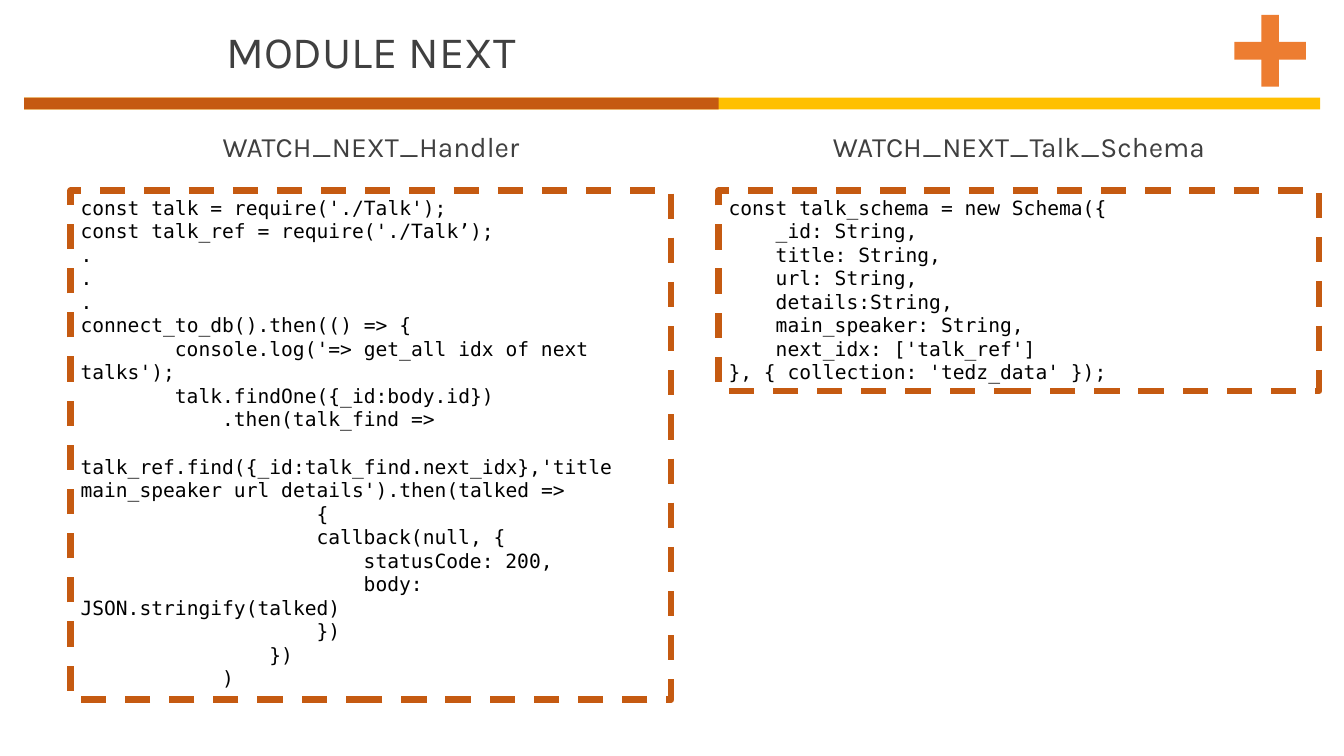
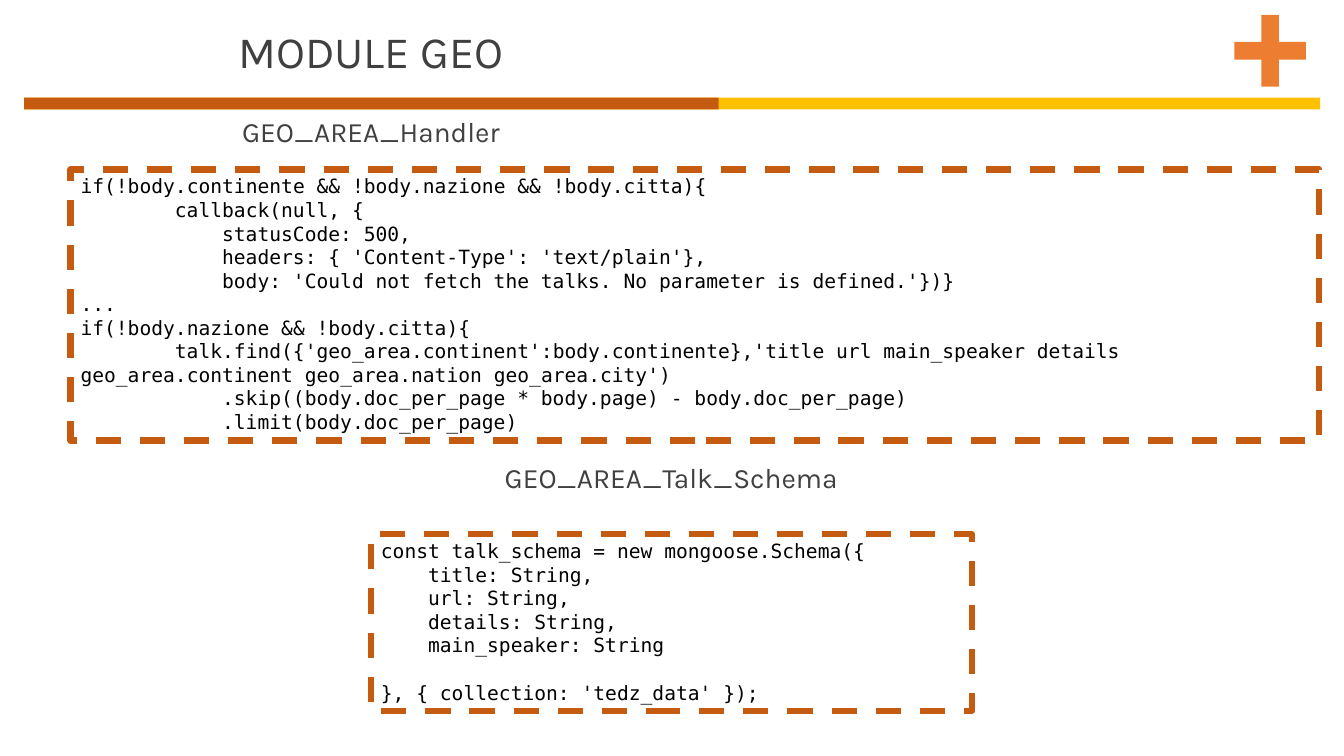
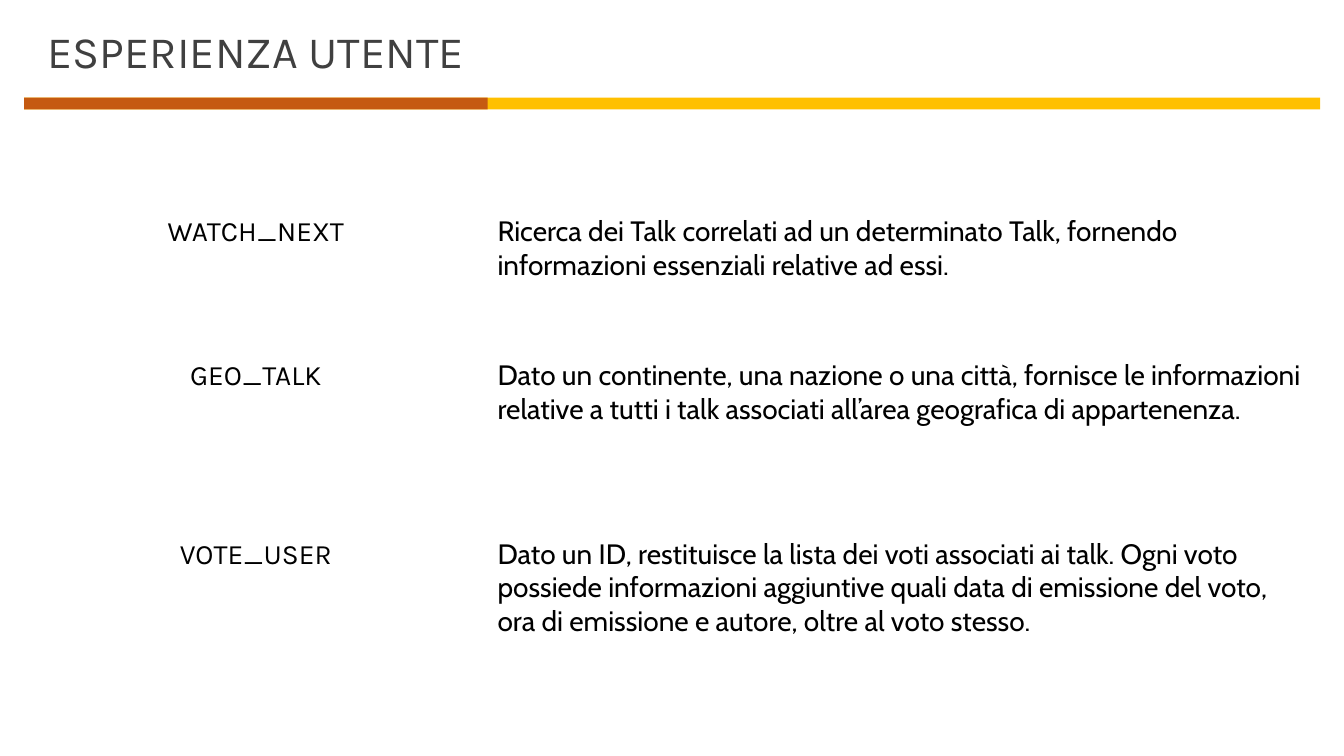
from pptx import Presentation, util as u
from pptx.dml.color import RGBColor
from pptx.enum import dml, shapes, text

RUST, AMBER, ORANGE = "C55A11", "FFC000", "ED7D31"
GREY, BLACK = "404040", "000000"

TITLE = {"name": "Karla", "size": u.Pt(32), "color": GREY}
CAPTION = {"name": "Karla", "size": u.Pt(20), "color": GREY}
LABEL = {"name": "Karla", "size": u.Pt(20), "color": BLACK}
BODY = {"name": "Cabin", "size": u.Pt(20), "color": BLACK}
CODE = {"name": "DejaVu Sans Mono", "size": u.Pt(14), "color": BLACK}
CODE_LINE = 17
CODE_CHARACTER = 8.43

MARGIN = 0.61
BAND_WIDTH = 32.66
TITLE_WIDTH = 11.68
CODE_LEFT, CODE_WIDTH = 1.78, 15.14

NEXT_HANDLER = """\
const talk = require('./Talk');
const talk_ref = require('./Talk’);
.
.
.
connect_to_db().then(() => {
        console.log('=> get_all idx of next talks');
        talk.findOne({_id:body.id})
            .then(talk_find =>

talk_ref.find({_id:talk_find.next_idx},'title main_speaker url details').then(talked =>
                    {
                    callback(null, {
                        statusCode: 200,
                        body: JSON.stringify(talked)
                    })
                })
            )"""

NEXT_SCHEMA = """\
const talk_schema = new Schema({
    _id: String,
    title: String,
    url: String,
    details:String,
    main_speaker: String,
    next_idx: ['talk_ref']
}, { collection: 'tedz_data' });"""

GEO_HANDLER = """\
if(!body.continente && !body.nazione && !body.citta){
        callback(null, {
            statusCode: 500,
            headers: { 'Content-Type': 'text/plain'},
            body: 'Could not fetch the talks. No parameter is defined.'})}
...
if(!body.nazione && !body.citta){
        talk.find({'geo_area.continent':body.continente},'title url main_speaker details geo_area.continent geo_area.nation geo_area.city')
            .skip((body.doc_per_page * body.page) - body.doc_per_page)
            .limit(body.doc_per_page)"""

GEO_SCHEMA = """\
const talk_schema = new mongoose.Schema({
    title: String,
    url: String,
    details: String,
    main_speaker: String

}, { collection: 'tedz_data' });"""

FEATURES = [
    (5.26, 1.96, "WATCH_NEXT",
     "Ricerca dei Talk correlati ad un determinato Talk, fornendo "
     "informazioni essenziali relative ad essi."),
    (8.89, 1.96, "GEO_TALK",
     "Dato un continente, una nazione o una città, fornisce le informazioni "
     "relative a tutti i talk associati all’area geografica di appartenenza."),
    (13.39, 2.82, "VOTE_USER",
     "Dato un ID, restituisce la lista dei voti associati ai talk. Ogni voto "
     "possiede informazioni aggiuntive quali data di emissione del voto, "
     "ora di emissione e autore, oltre al voto stesso."),
]


def rgb(value):
    return RGBColor.from_string(value)


def lengths(box):
    return [u.Cm(value) for value in box]


def format_paragraph(paragraph, style, align):
    paragraph.alignment = align
    for name, value in style.items():
        if name == "color":
            paragraph.font.color.rgb = rgb(value)
        else:
            setattr(paragraph.font, name, value)


def prepare_frame(shape):
    frame = shape.text_frame
    settings = {"word_wrap": True, "vertical_anchor": text.MSO_ANCHOR.TOP,
                "auto_size": text.MSO_AUTO_SIZE.SHAPE_TO_FIT_TEXT}
    for name, value in settings.items():
        setattr(frame, name, value)
    return frame


def write(shape, words, style, align=text.PP_ALIGN.CENTER):
    frame = prepare_frame(shape)
    frame.text = words
    format_paragraph(frame.paragraphs[0], style, align)


def add_text(slide, box, words, style, align=text.PP_ALIGN.CENTER):
    write(slide.shapes.add_textbox(*lengths(box)), words, style, align)


def add_filled(slide, kind, box, color):
    shape = slide.shapes.add_shape(kind, *lengths(box))
    shape.shadow.inherit = False
    shape.fill.solid()
    shape.fill.fore_color.rgb = rgb(color)
    shape.line.fill.background()
    return shape


def add_titled_slide(presentation, title, title_left, split):
    """Add a slide with its title and the band, rust up to split and amber after."""
    slide = presentation.slides.add_slide(presentation.slide_layouts[5])
    placeholder = slide.shapes.title
    box = lengths((title_left, 0.48, TITLE_WIDTH, 1.63))
    for name, value in zip(("left", "top", "width", "height"), box):
        setattr(placeholder, name, value)
    write(placeholder, title, TITLE)
    for width, color in ((BAND_WIDTH, AMBER), (split, RUST)):
        add_filled(slide, shapes.MSO_SHAPE.RECTANGLE,
                   (MARGIN, 2.46, width, 0.3), color)
    return slide


def add_module_slide(presentation, title):
    slide = add_titled_slide(presentation, title, 3.51, 17.5)
    plus = add_filled(slide, shapes.MSO_SHAPE.MATH_PLUS,
                      (30.78, 0.05, 2.46, 2.46), ORANGE)
    plus.adjustments[0] = 0.18
    return slide


def write_code(frame, code):
    """Turn leading spaces into first-line indents and empty lines into spacing."""
    paragraph, skipped = frame.paragraphs[0], 0
    for number, line in enumerate(code.split("\n")):
        words = line.lstrip()
        if not words:
            skipped += 1
            continue
        if number:
            paragraph = frame.add_paragraph()
        paragraph.text = words
        format_paragraph(paragraph, CODE, text.PP_ALIGN.LEFT)
        if skipped:
            paragraph.space_before = u.Pt(skipped * CODE_LINE)
            skipped = 0
        indent = u.Pt((len(line) - len(words)) * CODE_CHARACTER)
        paragraph._p.get_or_add_pPr().set("indent", str(int(indent)))


def add_code_panel(slide, box, code, caption, caption_width, caption_rise):
    """Add a dashed code box; its caption is centred on a column at its left."""
    left, top = box[:2]
    caption_left = left + (CODE_WIDTH - caption_width) / 2
    add_text(slide, (caption_left, top - caption_rise, caption_width, 1.12),
             caption, CAPTION)
    panel = slide.shapes.add_shape(shapes.MSO_SHAPE.RECTANGLE, *lengths(box))
    panel.shadow.inherit = False
    panel.fill.background()
    panel.line.color.rgb = rgb(RUST)
    panel.line.width = u.Pt(4.5)
    panel.line.dash_style = dml.MSO_LINE.DASH
    write_code(prepare_frame(panel), code)


def add_feature(slide, top, height, name, description):
    add_text(slide, (MARGIN, top, TITLE_WIDTH, 1.12), name, LABEL)
    left = MARGIN + TITLE_WIDTH
    add_text(slide, (left, top, BAND_WIDTH - TITLE_WIDTH, height),
             description, BODY, text.PP_ALIGN.LEFT)


def add_next_slide(presentation):
    slide = add_module_slide(presentation, "MODULE NEXT")
    add_code_panel(slide, (CODE_LEFT, 4.8, CODE_WIDTH, 12.83), NEXT_HANDLER,
                   "WATCH_NEXT_Handler", 8.33, 1.65)
    add_code_panel(slide, (18.11, 4.8, CODE_WIDTH, 5.05), NEXT_SCHEMA,
                   "WATCH_NEXT_Talk_Schema", 11.23, 1.65)


def add_geo_slide(presentation):
    slide = add_module_slide(presentation, "MODULE GEO")
    add_code_panel(slide, (CODE_LEFT, 4.27, 31.47, 6.83), GEO_HANDLER,
                   "GEO_AREA_Handler", 8.33, 1.5)
    add_code_panel(slide, (9.35, 13.46, CODE_WIDTH, 4.45), GEO_SCHEMA,
                   "GEO_AREA_Talk_Schema", 11.23, 1.98)


def add_experience_slide(presentation):
    slide = add_titled_slide(presentation, "ESPERIENZA UTENTE", MARGIN, TITLE_WIDTH)
    for feature in FEATURES:
        add_feature(slide, *feature)


def main():
    presentation = Presentation()
    presentation.slide_width = u.Cm(33.87)
    presentation.slide_height = u.Cm(19.05)
    add_next_slide(presentation)
    add_geo_slide(presentation)
    add_experience_slide(presentation)
    presentation.save("out.pptx")


if __name__ == "__main__":
    main()
